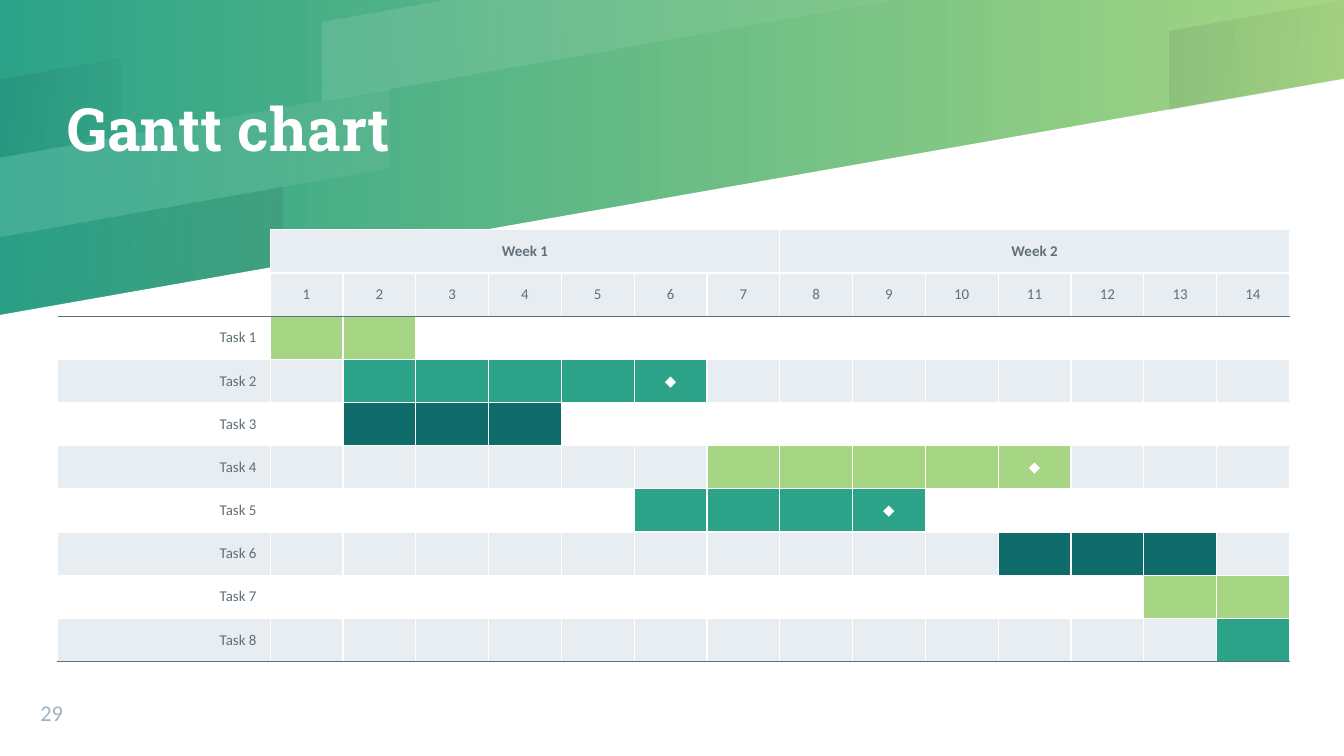
from lxml.etree import SubElement
from pptx import Presentation
from pptx.dml.color import RGBColor as RGB
from pptx.enum.text import MSO_ANCHOR as ANCHOR, PP_ALIGN as ALIGN
from pptx.oxml import parse_xml
from pptx.oxml.ns import nsdecls, qn
from pptx.util import Inches, Pt

C = {"teal": "2CA388", "lime": "A6D683", "deep": "106B6B", "white": "FFFFFF",
     "navy": "00001A", "pale": "E8EDF1", "slate": "60707A", "number": "9EB3C2"}
COLOR = {name: RGB.from_string(value) for name, value in C.items()}

prs = Presentation()
prs.slide_width, prs.slide_height = Inches(10), Inches(5.625)
W, H = prs.slide_width, prs.slide_height
s = prs.slides.add_slide(prs.slide_layouts[6])


def set_gradient(fill, names, angle, alphas=()):
    fill.gradient()
    fill.gradient_angle = angle
    for stop, name in zip(fill.gradient_stops, names):
        stop.color.rgb = COLOR[name]
    colors = fill._xPr.iter(qn("a:srgbClr"))
    for color, alpha in zip(colors, alphas):
        SubElement(color, qn("a:alpha"), val=str(alpha * 1000))


def add_text(text, box, size, font, color, anchor):
    x, y, w, h = box
    sp = s.shapes.add_textbox(int(W * x), int(H * y), int(W * w), int(H * h))
    tf = sp.text_frame
    tf.word_wrap = True
    tf.vertical_anchor = anchor
    tf.margin_left = tf.margin_top = tf.margin_right = tf.margin_bottom = 0
    p = tf.paragraphs[0]
    r = p.add_run()
    r.text = text
    r.font.size, r.font.name = Pt(size), font
    r.font.color.rgb = COLOR[color]
    return p, r


# Background: slanted lines, one step apart, each rising three steps over the slide
set_gradient(s.background.fill, ("teal", "lime"), 0)
STEP = H * 5 / 48
RISE = 3 * STEP / W

# White ground below the fourth line
polygons = [([(0, 4 * STEP), (0, H), (W, H), (W, STEP)], None, None)]

# Translucent bands: left and right share of the width, upper line, tint, alphas
for left, right, line, tint, alphas in [
        (0.24, 1, 1, "white", (12, 5)),
        (0, 0.09, 1, "navy", (8, 2)),
        (0, 0.21, 3, "navy", (2, 8)),
        (0.87, 1, 3, "navy", (8, 2)),
        (0, 0.29, 2, "white", (12, 5))]:
    top_right, low_right = (min(right, n / 3) for n in (line, line + 1))
    corners = [(left, line), (left, line + 1), (low_right, line + 1), (top_right, line)]
    polygons.append(([(x * W, n * STEP - x * W * RISE) for x, n in corners], tint, alphas))

for points, tint, alphas in polygons:
    builder = s.shapes.build_freeform(*points[0])
    builder.add_line_segments(points[1:], close=True)
    sp = builder.convert_to_shape()
    sp.shadow.inherit = False
    sp.line.fill.background()
    if tint:
        set_gradient(sp.fill, (tint, tint), 350, alphas)
    else:
        sp.fill.solid()
        sp.fill.fore_color.rgb = COLOR["white"]

# Title with a soft shadow, and slide number
p, r = add_text("Gantt chart", (0.05, 0, 0.6, 0.35), 32, "Roboto Slab", "white", ANCHOR.MIDDLE)
p.line_spacing = 0.9
r.font.bold = True
r.font._element.find(qn("a:solidFill")).addnext(parse_xml(
    f'<a:effectLst {nsdecls("a")}><a:outerShdw blurRad="38100" dist="19050" dir="5400000">'
    f'<a:srgbClr val="{C["navy"]}"><a:alpha val="30000"/></a:srgbClr></a:outerShdw></a:effectLst>'))
add_text("29", (0.03, 0.91, 0.05, 0.05), 12, "Calibri", "number", ANCHOR.BOTTOM)

# Schedule: first day, last day, colour, milestone day
TASKS = [(1, 2, "lime", None), (2, 6, "teal", 6), (2, 4, "deep", None),
         (7, 11, "lime", 11), (6, 9, "teal", 9), (11, 13, "deep", None),
         (13, 14, "lime", None), (14, 14, "teal", None)]
DAYS = 14
ROWS = len(TASKS) + 2
LABEL_W, DAY_W, ROW_H = int(W * 0.158), int(W * 0.0542), int(H / 17.5)

table = s.shapes.add_table(ROWS, DAYS + 1, int(W * 0.043), Inches(1.71),
                           LABEL_W + DAYS * DAY_W, ROWS * ROW_H).table
table.first_row = table.horz_banding = False
for i, column in enumerate(table.columns):
    column.width = DAY_W if i else LABEL_W

# Week headings span seven days each
for week in (1, 2):
    first = 7 * week - 6
    table.cell(0, first).merge(table.cell(0, first + 6))

for row in range(ROWS):
    table.rows[row].height = ROW_H
    for day in range(DAYS + 1):
        # Wording and fill
        text, fill, ink = "", None, "slate"
        if row < 2:
            fill = "pale" if day else None
            if row == 1 and day:
                text = str(day)
            elif day in (1, 8):
                text = f"Week {day // 7 + 1}"
        else:
            start, end, bar, milestone = TASKS[row - 2]
            fill = "pale" if row % 2 else None
            if day == 0:
                text = f"Task {row - 1}"
            elif start <= day <= end:
                fill = bar
            if day and day == milestone:
                text, ink = "◆", "white"

        cell = table.cell(row, day)
        cell.vertical_anchor = ANCHOR.MIDDLE
        if fill:
            cell.fill.solid()
            cell.fill.fore_color.rgb = COLOR[fill]
        else:
            cell.fill.background()

        p = cell.text_frame.paragraphs[0]
        p.alignment = ALIGN.CENTER if day else ALIGN.RIGHT
        if text:
            r = p.add_run()
            r.text = text
            r.font.size, r.font.name = Pt(8), "Calibri"
            r.font.bold = row == 0
            r.font.color.rgb = COLOR[ink]
        else:
            SubElement(p._p, qn("a:endParaRPr"), sz="800")

        # Borders: dark rules under the header and the last task, open top left corner
        borders = dict.fromkeys("LRTB", "white")
        if row in (1, ROWS - 1):
            borders["B"] = "slate"
        if row == 2:
            borders["T"] = "slate"
        if row < 2 and day == 0:
            borders["L"] = borders["T"] = None
            if row == 0:
                borders["B"] = None
        tcPr = cell._tc.get_or_add_tcPr()
        for i, (side, color) in enumerate(borders.items()):
            paint = (f'<a:solidFill><a:srgbClr val="{C[color]}"/></a:solidFill>'
                     if color else "<a:noFill/>")
            tcPr.insert(i, parse_xml(f'<a:ln{side} {nsdecls("a")} w="9525">{paint}</a:ln{side}>'))

prs.save("out.pptx")
